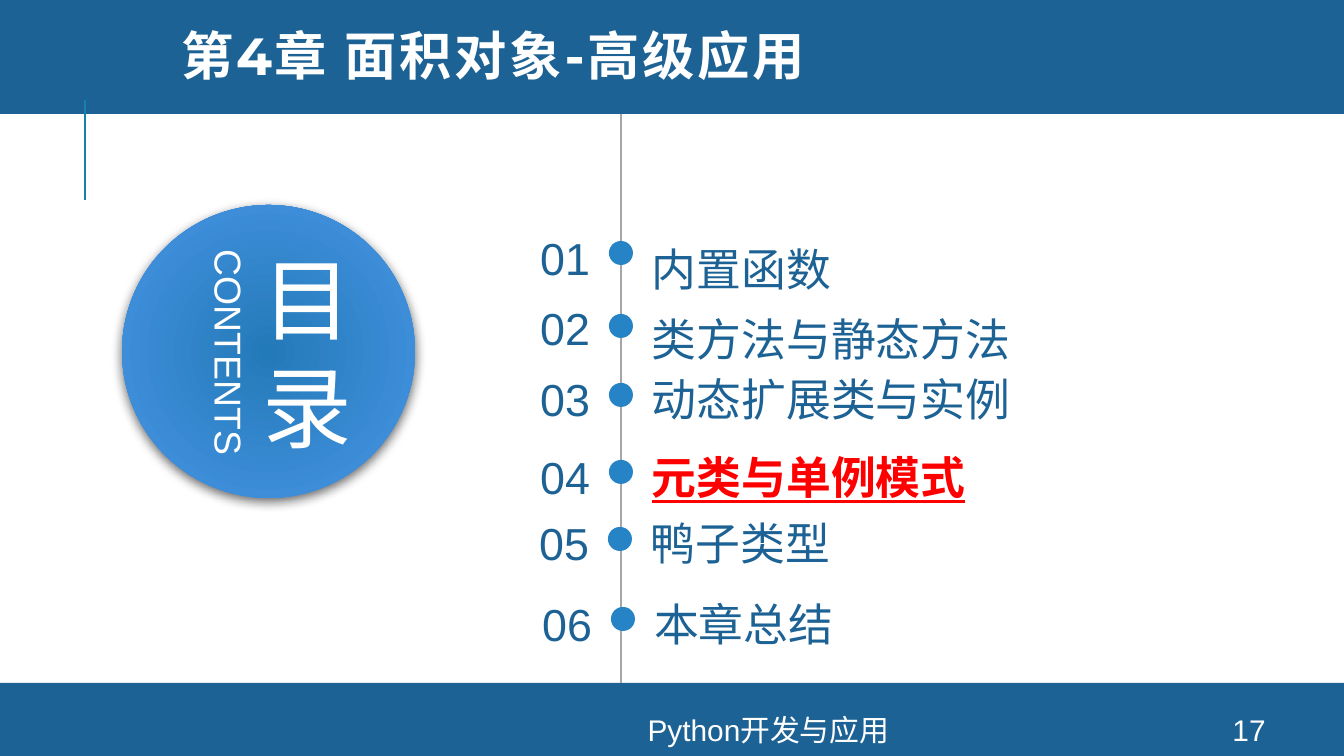
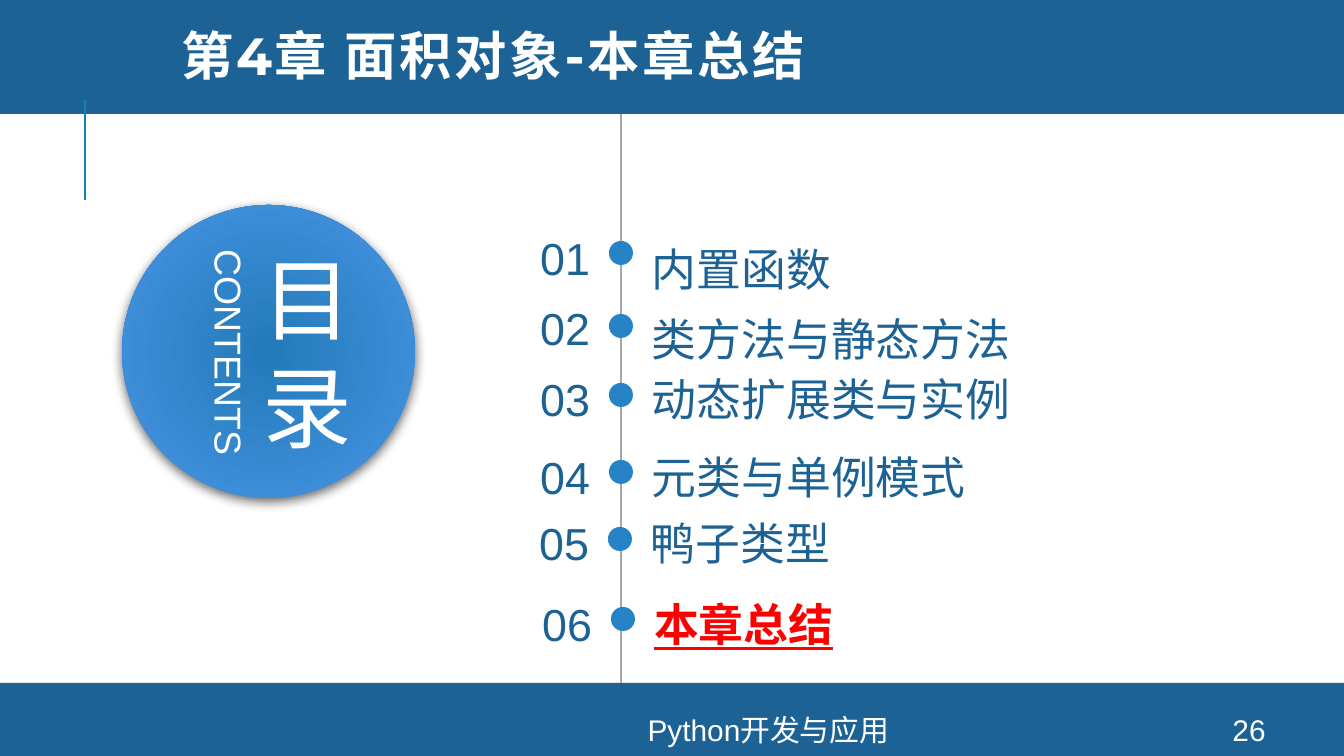
from lxml import etree
from pptx import Presentation
from pptx.dml.color import RGBColor
from pptx.enum.shapes import MSO_CONNECTOR as Connector, MSO_SHAPE as Shape
from pptx.enum.text import MSO_ANCHOR as Anchor, MSO_AUTO_SIZE as AutoSize, PP_ALIGN as Align
from pptx.oxml import parse_xml
from pptx.oxml.ns import nsdecls, qn
from pptx.util import Emu, Pt

EMU_PER_PX = 914400 / 134.4
WIDTH, HEIGHT = 1344, 756
HEADER_BOTTOM, FOOTER_TOP = 114, 683
TIMELINE_X = 621
DOT_SIZE = 24

NAVY = "1D6294"
DOT_BLUE = "2683C6"
ACCENT = "1482AC"
GREY = "A6A6A6"
WHITE = "FFFFFF"
RED = "FF0000"
GLOW_INNER, GLOW_OUTER = "237AB8", "4895E7"

# number, topic, row top, dot top, sideways shift, topic height, line spacing
TOPICS = [
    ("01", "内置函数", 231, 241, 0, 59, 1.2),
    ("02", "类方法与静态方法", 301, 314, 0, 65, 1.2),
    ("03", "动态扩展类与实例", 372, 383, 0, 54, None),
    ("04", "元类与单例模式", 450, 460, 0, 54, None),
    ("05", "鸭子类型", 516, 527, -1, 54, None),
    ("06", "本章总结", 597, 607, 2, 54, None),
]

# title, page number, number of the current topic
CONTENTS_PAGES = [
    ("第4章 面积对象-高级应用", "17", "04"),
    ("第4章 面积对象-本章总结", "26", "06"),
]


def px(length):
    return Emu(round(length * EMU_PER_PX))


def rgb(color):
    return RGBColor.from_string(color)


def add_plain_shape(slide, kind, left, top, width, height, color=None):
    """Add a preset shape with no outline or shadow; without a color its fill is left open."""
    shape = slide.shapes.add_shape(kind, px(left), px(top), px(width), px(height))
    shape.shadow.inherit = False
    shape.line.fill.background()
    if color:
        shape.fill.solid()
        shape.fill.fore_color.rgb = rgb(color)
    return shape


def add_line(slide, x, start_y, end_y, color):
    line = slide.shapes.add_connector(
        Connector.STRAIGHT, px(x), px(start_y), px(x), px(end_y))
    line.line.color.rgb = rgb(color)
    line.line.width = Pt(1.5)
    etree.SubElement(line._element.spPr, qn("a:effectLst"))


def add_text(slide, text, left, top, width, height, size, color=WHITE, font="Arial",
             align=Align.LEFT, anchor=Anchor.TOP, bold=None, underline=None,
             letter_spacing=None, line_spacing=None, inset=True, grow=False):
    box = slide.shapes.add_textbox(px(left), px(top), px(width), px(height))
    frame = box.text_frame
    frame.text = text
    frame.word_wrap = True
    frame.vertical_anchor = anchor
    if grow:
        frame.auto_size = AutoSize.SHAPE_TO_FIT_TEXT
    if not inset:
        frame.margin_left = frame.margin_top = frame.margin_right = frame.margin_bottom = 0
    for paragraph in frame.paragraphs:
        paragraph.alignment = align
        paragraph.line_spacing = line_spacing
        for run in paragraph.runs:
            run.font.name = font
            run.font.size = Pt(size)
            run.font.bold = bold
            run.font.underline = underline
            run.font.color.rgb = rgb(color)
            if letter_spacing:
                run._r.get_or_add_rPr().set("spc", str(round(letter_spacing * 100)))
    return box


def add_contents_badge(slide):
    """Add the glowing circle with the two contents captions."""
    circle = add_plain_shape(slide, Shape.OVAL, 122, 205, 293, 293)
    properties = circle._element.spPr
    gradient = parse_xml(
        f'<a:gradFill {nsdecls("a")} rotWithShape="1"><a:gsLst>'
        f'<a:gs pos="0"><a:srgbClr val="{GLOW_INNER}"/></a:gs>'
        f'<a:gs pos="100000"><a:srgbClr val="{GLOW_OUTER}"/></a:gs></a:gsLst>'
        '<a:path path="circle">'
        '<a:fillToRect l="100000" t="100000" r="100000" b="100000"/>'
        '</a:path></a:gradFill>')
    properties.find(qn("a:prstGeom")).addnext(gradient)
    properties.find(qn("a:effectLst")).append(parse_xml(
        f'<a:outerShdw {nsdecls("a")} blurRad="{Pt(6)}" dist="{Pt(2)}" dir="5400000" '
        'algn="t" rotWithShape="0"><a:srgbClr val="000000">'
        '<a:alpha val="60000"/></a:srgbClr></a:outerShdw>'))

    add_text(slide, "目\n录", 212, 216, 190, 271, 48, align=Align.CENTER,
             anchor=Anchor.MIDDLE, letter_spacing=6, inset=False)
    caption = add_text(slide, "CONTENTS", 87, 323, 284, 59, 20,
                       align=Align.CENTER, grow=True)
    caption.rotation = 90


def add_frame(slide, title, page):
    """Add the bands, rules, title and footer."""
    add_plain_shape(slide, Shape.RECTANGLE, 0, -4, WIDTH, HEADER_BOTTOM + 4, NAVY)
    add_plain_shape(slide, Shape.RECTANGLE, 0, FOOTER_TOP, WIDTH, HEIGHT - FOOTER_TOP, NAVY)
    add_line(slide, 85, 200, 100, ACCENT)
    add_line(slide, TIMELINE_X, HEADER_BOTTOM, FOOTER_TOP, GREY)
    add_text(slide, title, 168, 12, 1110, 97, 28, font="Montserrat", bold=True,
             anchor=Anchor.MIDDLE, letter_spacing=1.5, line_spacing=0.8)
    for text, left, width in (("Python开发与应用", 351, 835), (page, 1195, 108)):
        add_text(slide, text, left, 714, width, 31, 16,
                 align=Align.CENTER, anchor=Anchor.MIDDLE)


def add_topics(slide, current):
    for number, topic, top, dot_top, shift, height, spacing in TOPICS:
        active = number == current
        add_plain_shape(slide, Shape.OVAL, TIMELINE_X - DOT_SIZE // 2 + shift, dot_top,
                        DOT_SIZE, DOT_SIZE, DOT_BLUE)
        add_text(slide, number, 511 + shift, top, 79, 54, 24, NAVY,
                 align=Align.RIGHT, inset=False, grow=True)
        add_text(slide, topic, 652 + shift, top, 453, height, 24,
                 RED if active else NAVY, bold=active, underline=active,
                 line_spacing=spacing, inset=False, grow=True)


def main():
    presentation = Presentation()
    presentation.slide_width = px(WIDTH)
    presentation.slide_height = px(HEIGHT)
    blank = presentation.slide_layouts[6]
    for title, page, current in CONTENTS_PAGES:
        slide = presentation.slides.add_slide(blank)
        add_frame(slide, title, page)
        add_contents_badge(slide)
        add_topics(slide, current)
    presentation.save("out.pptx")


if __name__ == "__main__":
    main()
